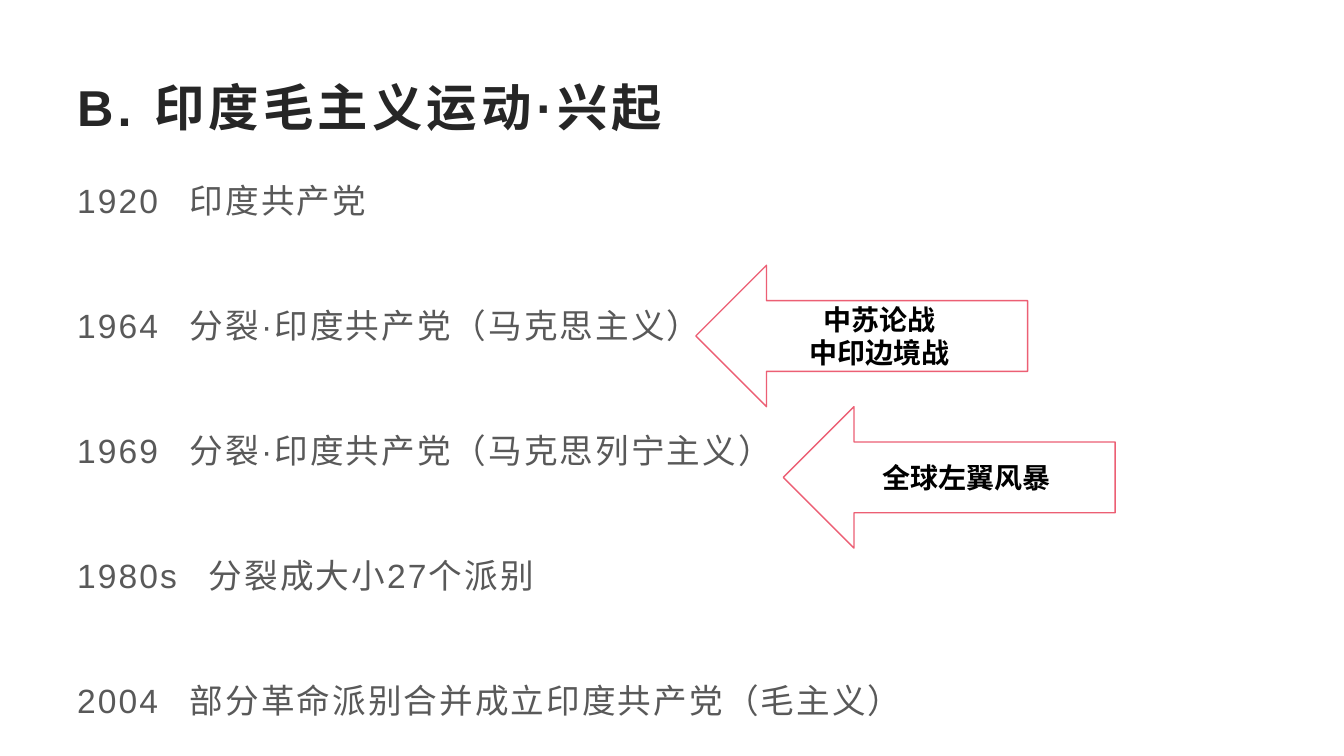
from dataclasses import dataclass

from lxml import etree
from pptx import Presentation
from pptx import util as u
from pptx.dml.color import RGBColor
from pptx.enum import lang, shapes, text
from pptx.oxml import ns


@dataclass(frozen=True)
class Theme:
    font: str = "Arial"
    heading: str = "262626"
    body: str = "595959"
    cause: str = "000000"
    arrow_fill: str = "FFFFFF"
    arrow_line: str = "EC5F74"
    heading_size: float = 36
    body_size: float = 24
    cause_size: float = 20


THEME = Theme()

# Year, event, and distance from the year's left edge to the event
EVENTS = [
    ("1920", "印度共产党", 80.5),
    ("1964", "分裂·印度共产党（马克思主义）", 80.5),
    ("1969", "分裂·印度共产党（马克思列宁主义）", 80.5),
    ("1980s", "分裂成大小27个派别", 94),
    ("2004", "部分革命派别合并成立印度共产党（毛主义）", 80.5),
]


def style(paragraph, size, color, bold=False, tracking=0):
    """Format every run; tracking is the letter spacing in points."""
    for run in paragraph.runs:
        font = run.font
        font.name, font.size, font.bold = THEME.font, u.Pt(size), bold
        font.color.rgb = RGBColor.from_string(color)
        font.language_id = lang.MSO_LANGUAGE_ID.SIMPLIFIED_CHINESE
        if tracking:
            font._element.set("spc", str(int(tracking * 100)))


def add_tab_stop(paragraph, position):
    stops = etree.SubElement(paragraph._p.get_or_add_pPr(), ns.qn("a:tabLst"))
    etree.SubElement(stops, ns.qn("a:tab"), pos=str(u.Pt(position)), algn="l")


def add_text_frame(slide, box):
    frame = slide.shapes.add_textbox(*map(u.Pt, box)).text_frame
    frame.word_wrap = True
    return frame


def add_heading(slide, box, heading):
    frame = add_text_frame(slide, box)
    frame.vertical_anchor = text.MSO_ANCHOR.MIDDLE
    frame.text = heading
    style(frame.paragraphs[0], THEME.heading_size, THEME.heading, True, 3)


def add_timeline(slide, box, events):
    frame = add_text_frame(slide, box)
    frame.text = "\n".join(f"{year}\t{event}" for year, event, _ in events)
    for entry, (_, _, event_left) in zip(frame.paragraphs, events):
        add_tab_stop(entry, event_left)
        entry.line_spacing = u.Pt(36)
        entry.space_after = u.Pt(53.3)
        style(entry, THEME.body_size, THEME.body, tracking=1.5)


def add_cause_arrow(slide, box, causes):
    arrow = slide.shapes.add_shape(shapes.MSO_SHAPE.LEFT_ARROW, *map(u.Pt, box))
    arrow.shadow.inherit = False
    arrow.fill.solid()
    arrow.fill.fore_color.rgb = RGBColor.from_string(THEME.arrow_fill)
    arrow.line.color.rgb = RGBColor.from_string(THEME.arrow_line)
    arrow.line.width = u.Pt(1)
    frame = arrow.text_frame
    frame.vertical_anchor = text.MSO_ANCHOR.MIDDLE
    frame.text = "\n".join(causes)
    for cause in frame.paragraphs:
        cause.alignment = text.PP_ALIGN.CENTER
        style(cause, THEME.cause_size, THEME.cause, bold=True)


def build_rise_slide(slide, box):
    left, top, width, height = box
    add_heading(slide, (left + 48, top + 48, width - 96, 55.5), "B. 印度毛主义运动·兴起")
    add_timeline(slide, (left + 48, top + 117.5, width - 96, height - 125), EVENTS)
    arrow_width, arrow_height = 237, 101
    arrows = [(497, ["中苏论战", "中印边境战"]), (559.5, ["全球左翼风暴"])]
    for row, (arrow_left, causes) in enumerate(arrows):
        arrow_top = top + 189.5 + row * arrow_height
        add_cause_arrow(
            slide, (left + arrow_left, arrow_top, arrow_width, arrow_height), causes
        )


def main():
    deck = Presentation()
    deck.slide_width, deck.slide_height = u.Pt(960), u.Pt(540)
    build_rise_slide(deck.slides.add_slide(deck.slide_layouts[6]), (0, 0, 960, 540))
    deck.save("out.pptx")


if __name__ == "__main__":
    main()
